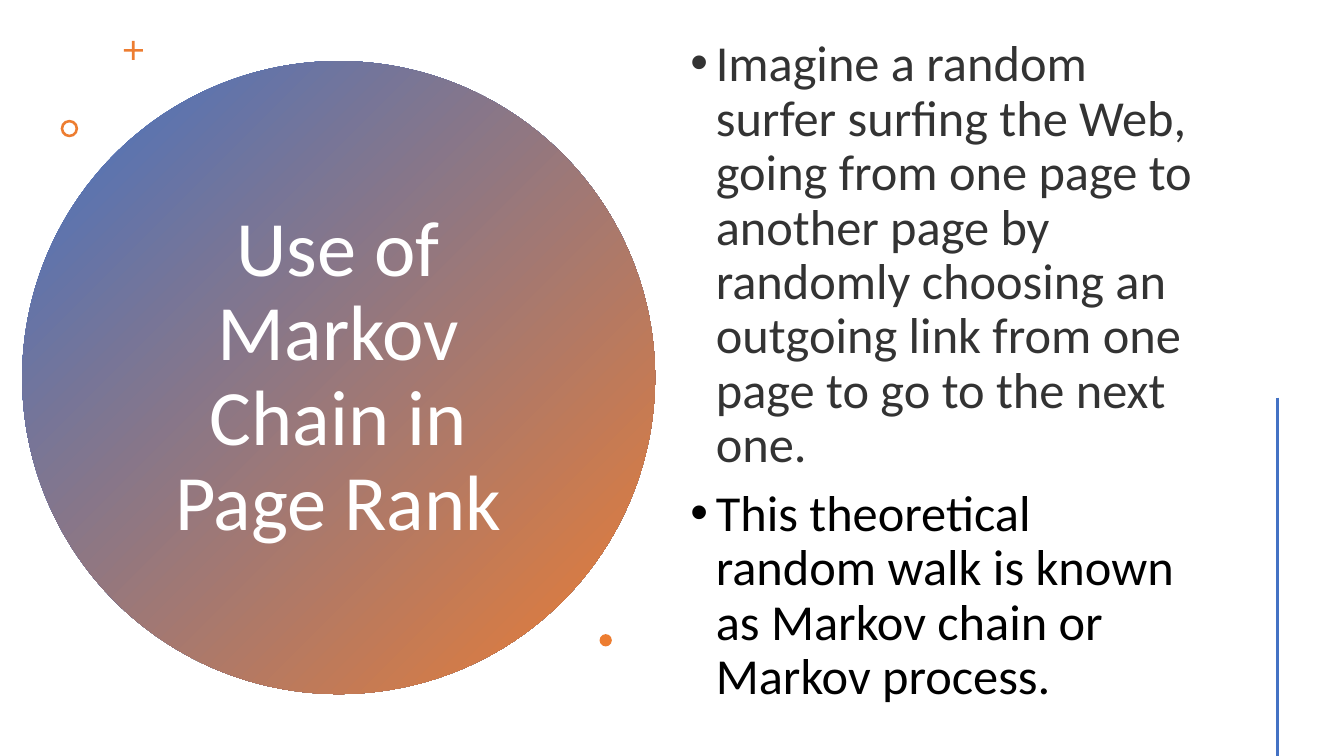
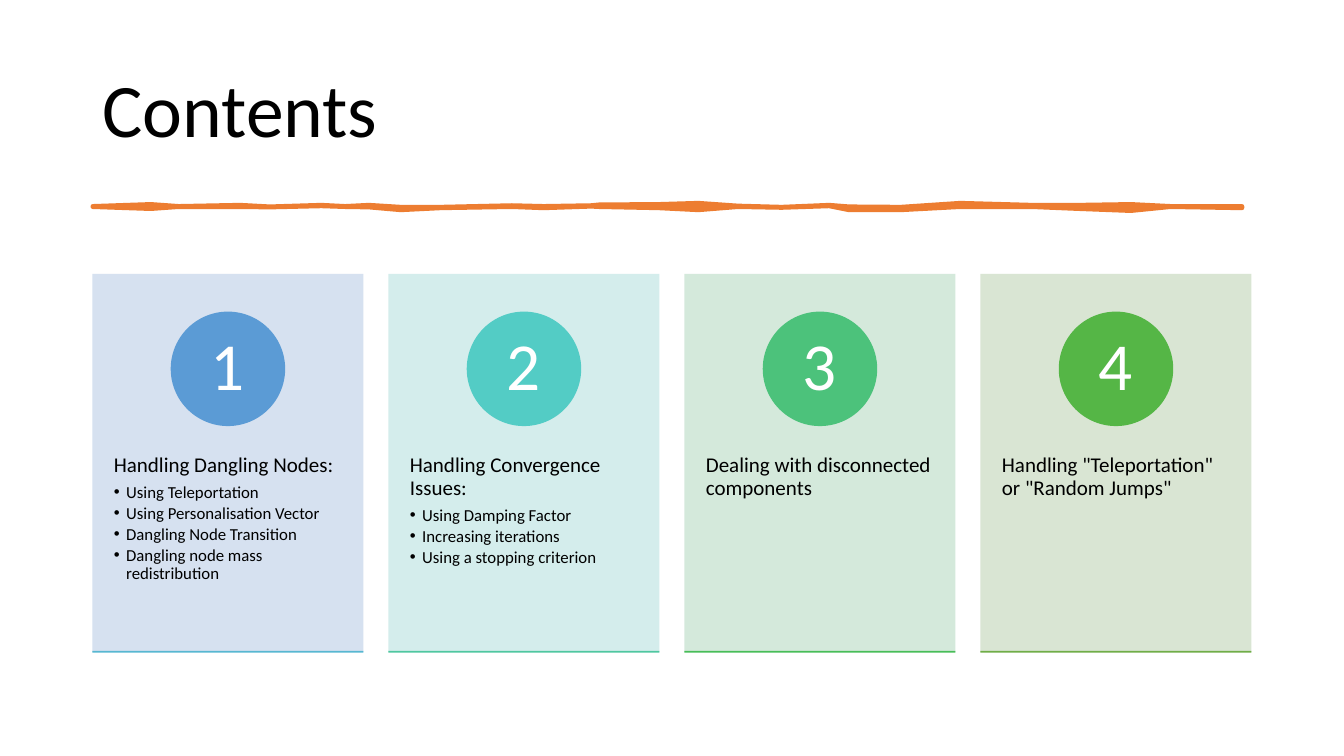
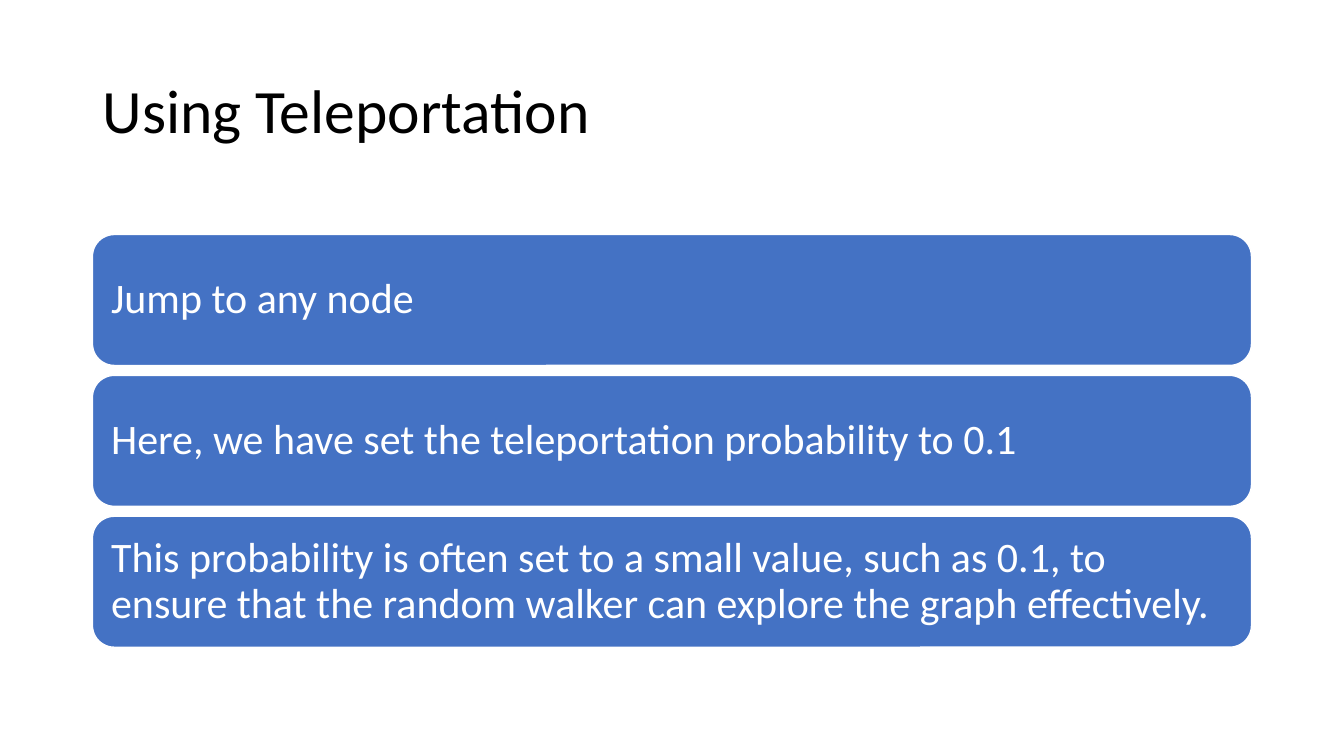
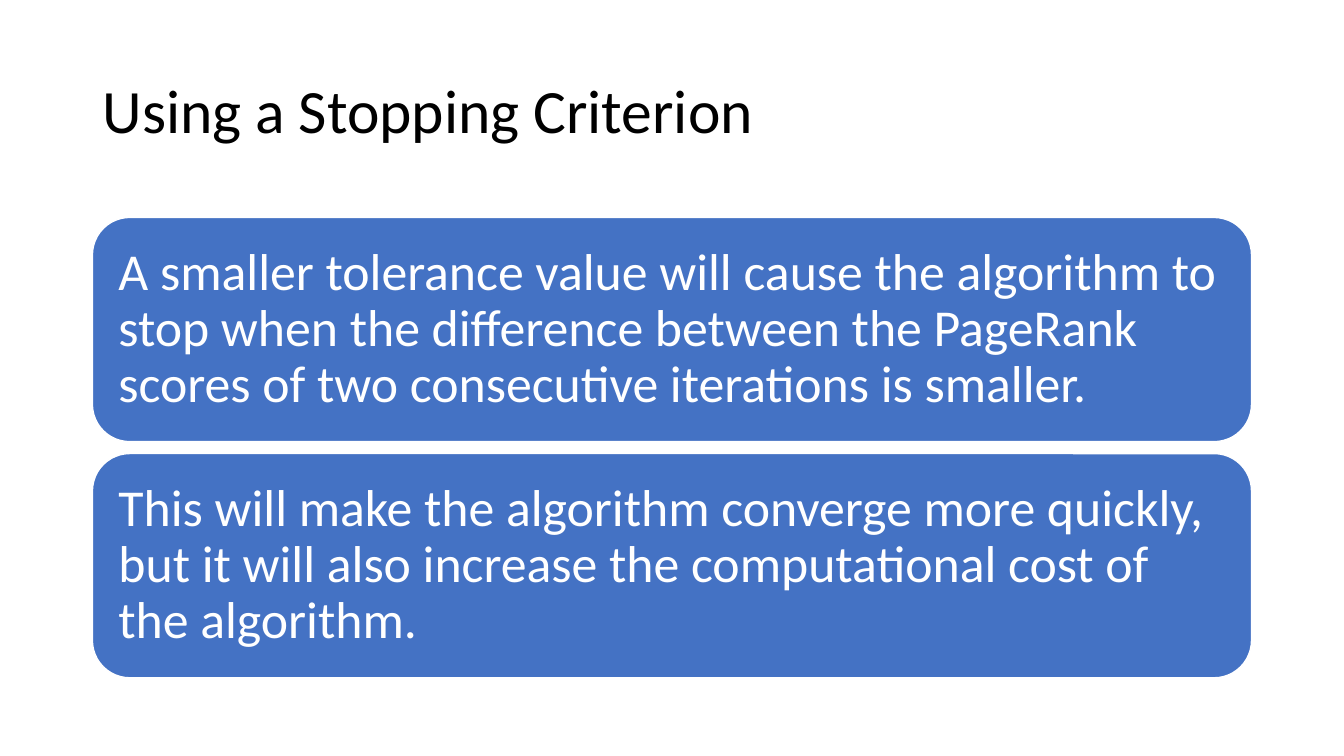
from lxml.etree import SubElement
from pptx import Presentation
from pptx.dml.color import RGBColor
from pptx.enum.shapes import MSO_CONNECTOR, MSO_SHAPE
from pptx.enum.text import MSO_ANCHOR, MSO_AUTO_SIZE, PP_ALIGN
from pptx.oxml.ns import qn
from pptx.util import Cm, Pt

hue = RGBColor.from_string
BLUE, ORANGE, WHITE, BLACK = "4472C4", "ED7D31", "FFFFFF", "000000"
LEFT, WIDE = 2.33, 29.21  # shared content column


def put(slide, kind, x, y, w, h, fill, line=None, alpha=100):
    """Add a flat preset shape, measured in centimetres."""
    shape = slide.shapes.add_shape(kind, Cm(x), Cm(y), Cm(w), Cm(h))
    shape.shadow.inherit = False
    shape.fill.solid()
    shape.fill.fore_color.rgb = hue(fill)
    if alpha < 100:
        tone = shape.fill._xPr.find(qn("a:solidFill"))[0]
        SubElement(tone, qn("a:alpha"), val=str(alpha * 1000))
    if line:
        shape.line.color.rgb = hue(line)
        shape.line.width = Pt(1)
    else:
        shape.line.fill.background()
    return shape


def write(shape, text, size, color=BLACK, align=PP_ALIGN.LEFT,
          anchor=MSO_ANCHOR.MIDDLE, before=0, after=0, bullet=0):
    """Add one paragraph; bullet is its hanging indent in centimetres."""
    frame = shape.text_frame
    frame.word_wrap = True
    frame.auto_size = MSO_AUTO_SIZE.NONE
    frame.vertical_anchor = anchor
    para = frame.add_paragraph() if frame.text else frame.paragraphs[0]
    para.text = text
    para.alignment = align
    para.line_spacing = 0.9
    para.space_before, para.space_after = Pt(before), Pt(after)
    if bullet:
        props = para._p.get_or_add_pPr()
        props.set("marL", str(Cm(bullet)))
        props.set("indent", str(-Cm(bullet)))
        SubElement(props, qn("a:buFont"), typeface="Arial")
        SubElement(props, qn("a:buChar"), char="•")
    para.font.name = "Calibri"
    para.font.size = Pt(size)
    para.font.color.rgb = hue(color)


deck = Presentation()
deck.slide_width, deck.slide_height = Cm(33.87), Cm(19.05)

# Slides and their titles
band = (LEFT, 1.02, WIDE, 3.68)
heads = [
    ("Use of Markov Chain in Page Rank", 56, WHITE, PP_ALIGN.CENTER,
     (3.46, 3.59, 10.13, 11.86)),
    ("Contents", 54, BLACK, PP_ALIGN.LEFT, band),
    ("Using Teleportation", 44, BLACK, PP_ALIGN.LEFT, band),
    ("Using a Stopping Criterion", 44, BLACK, PP_ALIGN.LEFT, band),
]
for text, size, color, align, area in heads:
    title = deck.slides.add_slide(deck.slide_layouts[5]).shapes.title
    title.left, title.top, title.width, title.height = map(Cm, area)
    write(title, text, size, color, align)
intro, menu, jump, stop = deck.slides

# Slide 1: gradient disc behind the title
disc = put(intro, MSO_SHAPE.OVAL, 0.56, 1.54, 15.95, 15.95, BLUE)
disc.fill.gradient()
disc.fill.gradient_angle = 315
for mark, color in zip(disc.fill.gradient_stops, (BLUE, ORANGE)):
    mark.color.rgb = hue(color)
intro.shapes.title._element.addprevious(disc._element)

# Slide 1: small ornaments
plus = put(intro, MSO_SHAPE.CROSS, 3.12, 1.03, 0.48, 0.48, ORANGE)
plus.adjustments[0] = 0.43
ring = put(intro, MSO_SHAPE.DONUT, 1.53, 3.02, 0.44, 0.44, ORANGE)
ring.adjustments[0] = 0.15
put(intro, MSO_SHAPE.OVAL, 15.11, 15.98, 0.31, 0.31, ORANGE)

# Slide 1: body text and side line
body = intro.shapes.add_textbox(Cm(17.15), Cm(1.27), Cm(13.26), Cm(16.2))
write(body, "Imagine a random surfer surfing the Web, going from one page to "
      "another page by randomly choosing an outgoing link from one page to go "
      "to the next one.", 36, "333333", bullet=0.64)
write(body, "This theoretical random walk is known as Markov chain or Markov "
      "process.", 36, before=10, bullet=0.64)
side = intro.shapes.add_connector(
    MSO_CONNECTOR.STRAIGHT, Cm(32.19), Cm(10.02), Cm(32.19), Cm(19.04))
side.line.color.rgb = hue(BLUE)
side.line.width = Pt(2.25)
SubElement(side._element.spPr, qn("a:effectLst"))

# Slide 2: hand-drawn stroke, as x, upper edge and lower edge
stroke = [
    (2.34, 5.2, 5.21), (3.8, 5.15, 5.26), (4.5, 5.2, 5.21), (6.05, 5.17, 5.21),
    (6.8, 5.21, 5.22), (8.1, 5.17, 5.19), (8.7, 5.2, 5.21), (9.3, 5.17, 5.22),
    (10.1, 5.22, 5.29), (11.1, 5.22, 5.24), (12.9, 5.18, 5.21),
    (13.7, 5.2, 5.24), (14.9, 5.18, 5.2), (15.1, 5.16, 5.21),
    (16.6, 5.15, 5.24), (17.6, 5.12, 5.29), (18.6, 5.19, 5.21),
    (19.7, 5.22, 5.23), (20.9, 5.17, 5.19), (21.4, 5.21, 5.29),
    (22.7, 5.22, 5.29), (24.2, 5.12, 5.21), (26, 5.17, 5.21),
    (27.2, 5.17, 5.26), (28.5, 5.15, 5.31), (29.5, 5.2, 5.21),
    (31.3, 5.2, 5.24),
]
edge = [(Cm(x), Cm(top)) for x, top, low in stroke]
edge += [(Cm(x), Cm(low)) for x, top, low in reversed(stroke)]
pen = menu.shapes.build_freeform(*edge[0])
pen.add_line_segments(edge[1:], close=True)
wave = pen.convert_to_shape()
wave.shadow.inherit = False
wave.fill.solid()
wave.fill.fore_color.rgb = hue(ORANGE)
wave.line.color.rgb = hue(ORANGE)
wave.line.width = Pt(3.25)
SubElement(wave.line._get_or_add_ln(), qn("a:round"))

# Slide 2: numbered cards
cards = [
    ("D2DEEF", "5B9BD5", "57B7D1", "Handling Dangling Nodes:",
     ["Using Teleportation", "Using Personalisation Vector",
      "Dangling Node Transition", "Dangling node mass redistribution"]),
    ("D0ECEA", "53CCC5", "4FC7A0", "Handling Convergence Issues:",
     ["Using Damping Factor", "Increasing iterations",
      "Using a stopping criterion"]),
    ("D0E7D8", "4CC27B", "48BD58", "Dealing with disconnected components", []),
    ("D5E3CF", "55B646", "70AD47", 'Handling "Teleportation" or "Random Jumps"',
     []),
]
width, ball = 6.83, 2.85
step = (WIDE - width) / (len(cards) - 1)
for i, (pale, strong, base, head, items) in enumerate(cards):
    x = LEFT + i * step
    card = put(menu, MSO_SHAPE.RECTANGLE, x, 6.9, width, 9.53, pale, alpha=90)
    frame = card.text_frame
    frame.margin_left = frame.margin_right = Cm(0.54)
    frame.margin_top = Cm(4.55)
    write(card, head, 15, anchor=MSO_ANCHOR.TOP, after=5)
    for item in items:
        write(card, item, 12, anchor=MSO_ANCHOR.TOP, after=2, bullet=0.31)
    badge = put(menu, MSO_SHAPE.OVAL, x + (width - ball) / 2, 7.87, ball, ball,
                strong, strong)
    write(badge, str(i + 1), 48, WHITE, PP_ALIGN.CENTER)
    put(menu, MSO_SHAPE.RECTANGLE, x, 16.4, width, 0.05, base)

# Slides 3 and 4: stacked panels
stacks = [
    (jump, 5.91, 3.3, 3.55, 30, 0.31, [
        "Jump to any node",
        "Here, we have set the teleportation probability to 0.1",
        "This probability is often set to a small value, such as 0.1, to "
        "ensure that the random walker can explore the graph effectively."]),
    (stop, 5.48, 5.65, 5.95, 37, 0.38, [
        "A smaller tolerance value will cause the algorithm to stop when the "
        "difference between the PageRank scores of two consecutive iterations "
        "is smaller.",
        "This will make the algorithm converge more quickly, but it will also "
        "increase the computational cost of the algorithm."]),
]
for slide, top, tall, step, size, pad, lines in stacks:
    for i, line in enumerate(lines):
        panel = put(slide, MSO_SHAPE.ROUNDED_RECTANGLE, LEFT, top + i * step,
                    WIDE, tall, BLUE, WHITE)
        frame = panel.text_frame
        frame.margin_left = frame.margin_right = Cm(pad)
        write(panel, line, size, WHITE)

deck.save("out.pptx")
